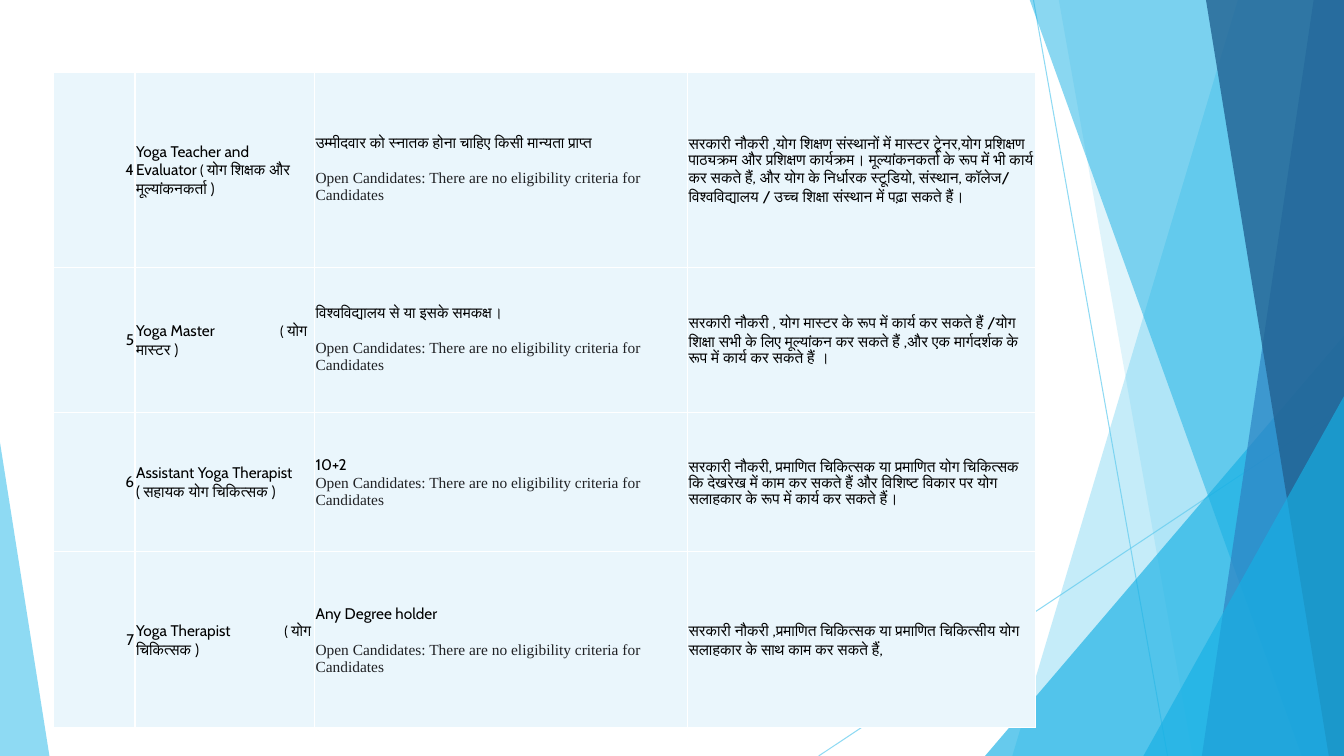
from pptx import Presentation
from pptx.dml.color import RGBColor
from pptx.enum.shapes import MSO_CONNECTOR, MSO_SHAPE
from pptx.enum.text import MSO_ANCHOR, PP_ALIGN
from pptx.oxml.ns import qn
from pptx.util import Pt
from lxml.etree import SubElement

PX = 9144  # 100 px to the inch
WIDE, HIGH = 1333, 750
SKY, AQUA, BLUE, NAVY = "5FCBEF", "17B0E4", "2E83C3", "226292"


def tint(fill, color, alpha, props):
    fill.solid()
    fill.fore_color.rgb = RGBColor.from_string(color)
    if alpha < 100:
        node = next(props.iter(qn("a:srgbClr")))
        SubElement(node, qn("a:alpha"), val=str(alpha * 1000))


def write(para, text, size=11, font="Cabin", color="000000"):
    run = para.add_run()
    run.text = text
    run.font.size = Pt(size)
    run.font.name = font
    run.font.color.rgb = RGBColor.from_string(color)


deck = Presentation()
deck.slide_width, deck.slide_height = WIDE * PX, HIGH * PX
slide = deck.slides.add_slide(deck.slide_layouts[6])
shapes = slide.shapes

# Thin crossing lines
for ends in [(1025, 0, 1158, HIGH), (WIDE, 403, 812, HIGH)]:
    line = shapes.add_connector(MSO_CONNECTOR.STRAIGHT, *[n * PX for n in ends])
    line.line.width = Pt(0.75)
    props = line._element.spPr
    tint(line.line.fill, SKY, 70, props)
    SubElement(props, qn("a:effectLst"))

# Facets, back to front: wedges reach the right edge from a top and a bottom x,
# triangles stand on the bottom edge with the peak at one side
facets = [
    ("wedge", (1228, 1004), SKY, 36),
    ("wedge", (1050, 1183), SKY, 20),
    ("peak", (977, 333, 356, 1), AQUA, 66),
    ("wedge", (1021, 1291), AQUA, 50),
    ("wedge", (1303, 1192), BLUE, 70),
    ("wedge", (1196, 1318), NAVY, 80),
    ("peak", (1134, 393, 199, 1), AQUA, 66),
    ("peak", (0, 439, 49, 0), SKY, 70),
]
for kind, place, color, alpha in facets:
    if kind == "wedge":
        top, base = place
        path = shapes.build_freeform(top, -1, scale=PX)
        path.add_line_segments([(WIDE, -1), (WIDE, HIGH), (base, HIGH)], close=True)
        facet = path.convert_to_shape()
    else:
        left, top, width, side = place
        facet = shapes.add_shape(MSO_SHAPE.ISOSCELES_TRIANGLE, left * PX, top * PX,
                                 width * PX, (HIGH - top) * PX)
        facet.adjustments[0] = side
    tint(facet.fill, color, alpha, facet._element.spPr)
    facet.line.fill.background()
    facet.shadow.inherit = False

# Courses: number, name runs (text, size), tab stop, entry rule, gap, careers
courses = [
    ("4", [("Yoga Teacher and Evaluator", 11), (" ( ", 10),
           ("योग शिक्षक और मूल्यांकनकर्ता )", 11)], 0,
     "उम्मीदवार को स्नातक होना चाहिए किसी मान्यता प्राप्त", 13,
     "सरकारी नौकरी ,योग शिक्षण संस्थानों में मास्टर ट्रेनर,योग प्रशिक्षण पाठ्यक्रम और "
     "प्रशिक्षण कार्यक्रम। मूल्यांकनकर्ता के रूप में भी कार्य कर सकते हैं, और योग के "
     "निर्धारक स्टूडियो, संस्थान, कॉलेज/ विश्वविद्यालय / उच्च शिक्षा संस्थान में पढ़ा सकते हैं।"),
    ("5", [("Yoga Master", 11), ("\t( ", 10), ("योग मास्टर )", 11)], 143,
     "विश्वविद्यालय से या इसके समकक्ष।", 13,
     "सरकारी नौकरी , योग मास्टर के रूप में कार्य कर सकते हैं /योग शिक्षा सभी के लिए "
     "मूल्यांकन कर सकते हैं ,और एक मार्गदर्शक के रूप में कार्य कर सकते हैं ।"),
    ("6", [("Assistant Yoga Therapist (", 11), (" ", 10),
           ("सहायक योग चिकित्सक )", 11)], 0,
     "10+2", 0,
     "सरकारी नौकरी, प्रमाणित चिकित्सक या प्रमाणित योग चिकित्सक कि देखरेख में काम कर "
     "सकते हैं और विशिष्ट विकार पर योग सलाहकार के रूप में कार्य कर सकते हैं।"),
    ("7", [("Yoga Therapist", 11), ("\t( ", 10), ("योग चिकित्सक )", 11)], 147,
     "Any Degree holder", 13,
     "सरकारी नौकरी ,प्रमाणित चिकित्सक या प्रमाणित चिकित्सीय योग सलाहकार के साथ काम "
     "कर सकते हैं,"),
]
OPEN = "Open Candidates: There are no eligibility criteria for Candidates"

# Table grid
cols, rows = [81, 178, 370, 345], [193, 144, 138, 175]
table = shapes.add_table(len(rows), len(cols), 53 * PX, 72 * PX,
                         sum(cols) * PX, sum(rows) * PX).table
table.first_row = table.horz_banding = False
for col, width in zip(table.columns, cols):
    col.width = width * PX
for row, height in zip(table.rows, rows):
    row.height = height * PX

# Cell margins, white borders and fill
for cell in table.iter_cells():
    cell.margin_left = cell.margin_right = cell.margin_top = PX
    cell.margin_bottom = 0
    cell.vertical_anchor = MSO_ANCHOR.MIDDLE
    props = cell._tc.get_or_add_tcPr()
    for side in ("lnL", "lnR", "lnT", "lnB"):
        edge = SubElement(props, qn("a:" + side), w=str(Pt(1)))
        SubElement(SubElement(edge, qn("a:solidFill")), qn("a:srgbClr"), val="FFFFFF")
    tint(cell.fill, "EAF6FC", 100, props)

# Cell text
for row, (num, name, stop, rule, gap, work) in zip(table.rows, courses):
    first, title, entry, career = [cell.text_frame for cell in row.cells]
    first.paragraphs[0].alignment = PP_ALIGN.RIGHT
    write(first.paragraphs[0], num)
    para = title.paragraphs[0]
    for text, size in name:
        write(para, text, size=size)
    if stop:
        tabs = SubElement(para._p.get_or_add_pPr(), qn("a:tabLst"))
        SubElement(tabs, qn("a:tab"), pos=str(stop * PX), algn="l")
    write(entry.paragraphs[0], rule)
    para = entry.add_paragraph()
    para.space_before = Pt(gap)
    write(para, OPEN, font="Times New Roman", color="202124")
    write(career.paragraphs[0], work)

deck.save("out.pptx")
